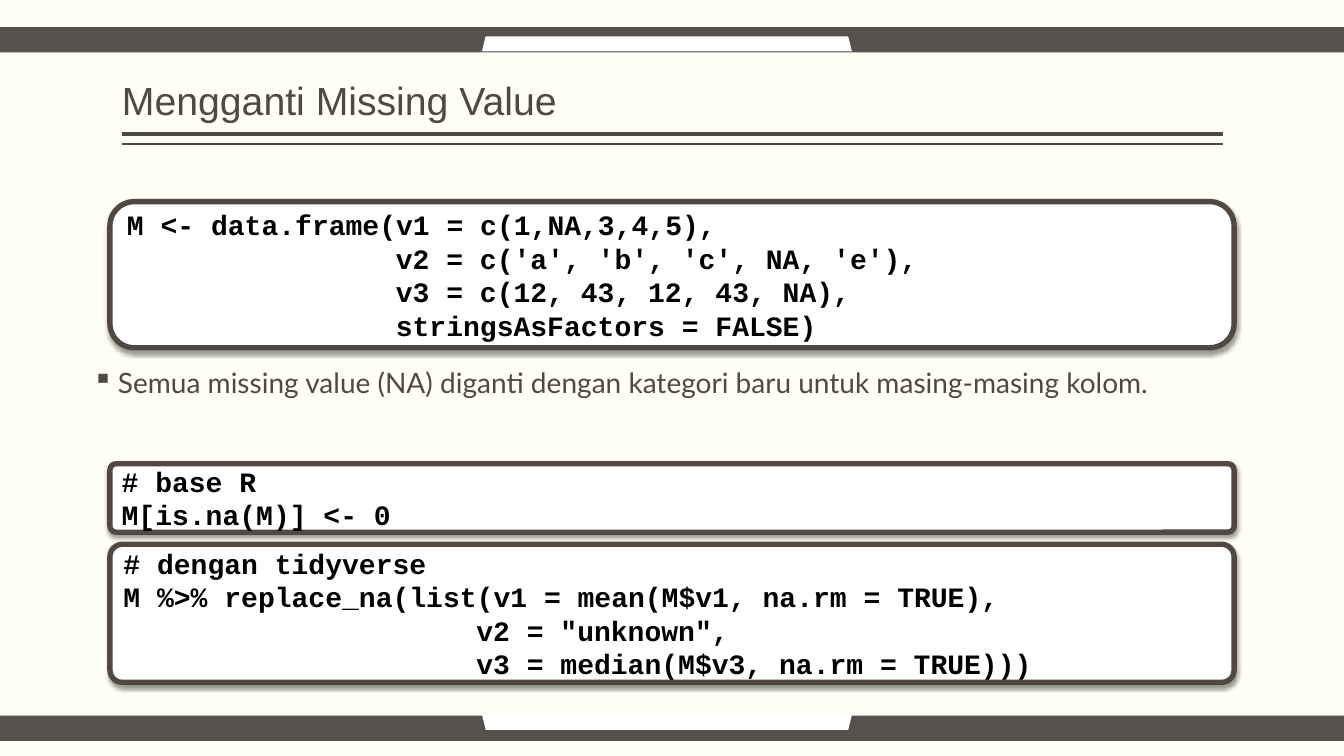
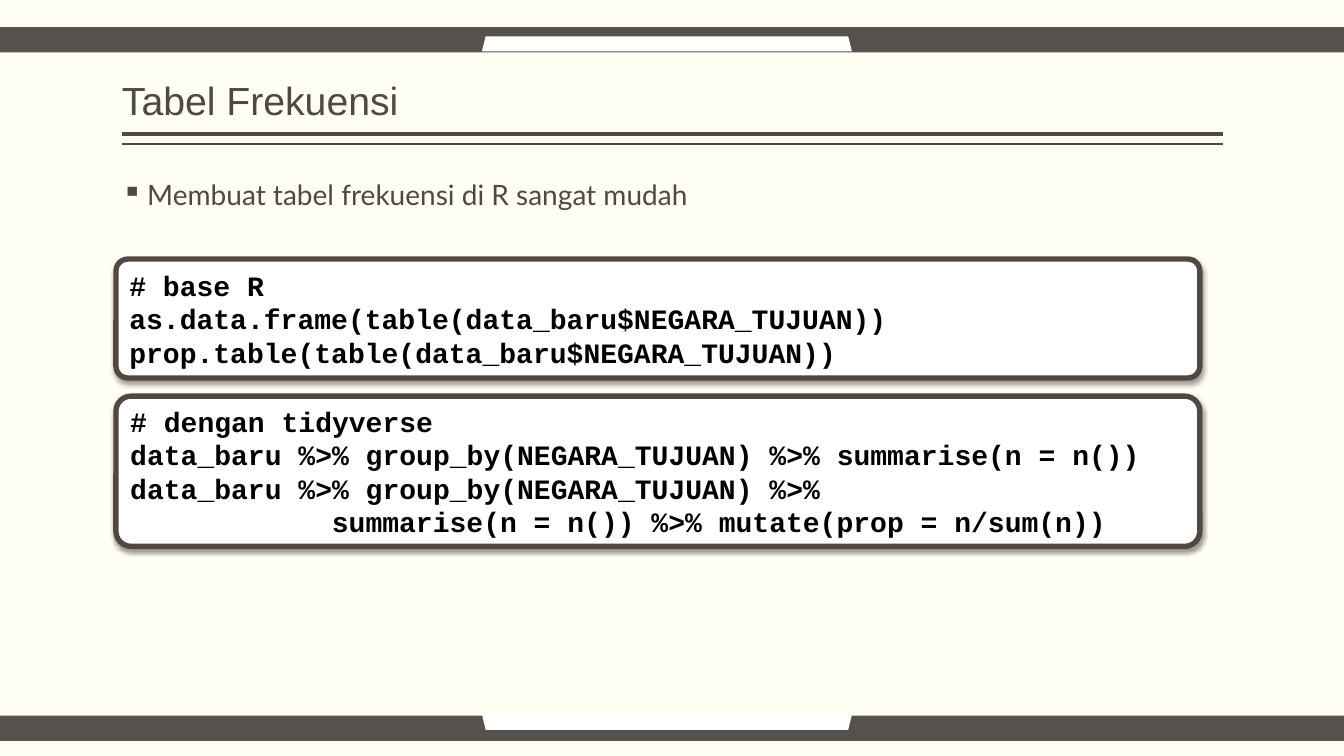
from lxml import etree
from pptx import Presentation
from pptx.dml.color import RGBColor
from pptx.enum.shapes import MSO_CONNECTOR, MSO_SHAPE
from pptx.enum.text import MSO_ANCHOR, MSO_AUTO_SIZE, PP_ALIGN
from pptx.oxml import parse_xml
from pptx.oxml.ns import nsdecls, qn
from pptx.util import Inches, Pt

STRAIGHT = MSO_CONNECTOR.STRAIGHT
RECTANGLE, TRAPEZOID = MSO_SHAPE.RECTANGLE, MSO_SHAPE.TRAPEZOID
ROUNDED = MSO_SHAPE.ROUNDED_RECTANGLE
MIDDLE, BOTTOM = MSO_ANCHOR.MIDDLE, MSO_ANCHOR.BOTTOM
LEFT, NO_FIT = PP_ALIGN.LEFT, MSO_AUTO_SIZE.NONE

COLORS = {"background": "FFFFF3", "text": "514843", "band": "56514D",
          "panel": "FFFFFF", "code": "000000"}
FONTS = {"title": "Arial", "body": "Lato", "code": "Courier New"}
SLIDE_WIDTH = 13.33
MARGIN = 1.21
CONTENT_WIDTH = 10.92
TAB_WIDTH = 3.67
CODE_COLUMN = 1 / 6  # width of one 20 pt Courier New character
SHADOW = (f'<a:outerShdw {nsdecls("a")} blurRad="44450" dist="25400" dir="5400000">'
          '<a:srgbClr val="000000"><a:alpha val="38000"/></a:srgbClr></a:outerShdw>')


def color(name):
    return RGBColor.from_string(COLORS[name])


class Deck:
    """Holds the shared style and the slide being built."""

    def __init__(self):
        self.presentation = Presentation()
        self.presentation.slide_width = Inches(SLIDE_WIDTH)
        self.presentation.slide_height = Inches(7.5)
        self.slide = None

    def add_slide(self, title):
        self.slide = self.presentation.slides.add_slide(self.presentation.slide_layouts[5])
        fill = self.slide.background.fill
        fill.solid()
        fill.fore_color.rgb = color("background")
        self.rule(1.33, 3)
        self.rule(1.43, 1)
        self.band(0.27, 0.36)
        self.band(7.1, 7.09, rotation=180)
        self.title(title)

    def style(self, paragraph, font, size, color_name, bold=False):
        paragraph.alignment = LEFT
        paragraph.font.name = FONTS[font]
        paragraph.font.size = Pt(size)
        paragraph.font.bold = bold
        paragraph.font.color.rgb = color(color_name)

    def frame(self, shape):
        """Text frame without side insets."""
        frame = shape.text_frame
        frame.word_wrap = True
        frame.auto_size = NO_FIT
        frame.margin_left = frame.margin_right = 0
        return frame

    def title(self, text):
        shape = self.slide.shapes.title
        shape.left, shape.top = Inches(MARGIN), Inches(0.08)
        shape.width, shape.height = Inches(CONTENT_WIDTH), Inches(1.2)
        frame = self.frame(shape)
        frame.vertical_anchor = BOTTOM
        frame.text = text
        paragraph = frame.paragraphs[0]
        paragraph.line_spacing = 0.9
        self.style(paragraph, "title", 28, "text")

    def rule(self, top, weight):
        line = self.slide.shapes.add_connector(
            STRAIGHT, Inches(MARGIN), Inches(top),
            Inches(MARGIN + CONTENT_WIDTH), Inches(top))
        line.line.color.rgb = color("text")
        line.line.width = Pt(weight)
        etree.SubElement(line._element.spPr, qn("a:effectLst"))

    def block(self, kind, left, top, width, height, fill):
        shape = self.slide.shapes.add_shape(
            kind, Inches(left), Inches(top), Inches(width), Inches(height))
        shape.shadow.inherit = False
        shape.fill.solid()
        shape.fill.fore_color.rgb = color(fill)
        shape.line.fill.background()
        return shape

    def band(self, top, tab_top, rotation=0):
        """Full-width band with a white tab in its middle."""
        self.block(RECTANGLE, 0, top, SLIDE_WIDTH, 0.25, "band")
        tab_left = (SLIDE_WIDTH - TAB_WIDTH) / 2 - 0.05
        tab = self.block(TRAPEZOID, tab_left, tab_top, TAB_WIDTH, 0.15, "panel")
        tab.rotation = rotation

    def bullet(self, left, top, width, text):
        box = self.slide.shapes.add_textbox(
            Inches(left), Inches(top), Inches(width), Inches(0.5))
        paragraph = self.frame(box).paragraphs[0]
        paragraph.text = text
        paragraph.line_spacing = 0.9
        self.style(paragraph, "body", 20, "text")
        properties = paragraph._p.get_or_add_pPr()
        properties.set("marL", str(Inches(0.25)))
        properties.set("indent", str(-Inches(0.25)))
        etree.SubElement(properties, qn("a:buChar")).set("char", "▪")

    def code(self, left, top, width, height, corner, lines):
        """Code panel; each line is (columns of indent, text)."""
        panel = self.block(ROUNDED, left, top, width, height, "panel")
        panel.adjustments[0] = corner
        panel.line.color.rgb = color("text")
        panel.line.width = Pt(3.82)
        panel._element.spPr.find(qn("a:effectLst")).append(parse_xml(SHADOW))
        frame = panel.text_frame
        frame.vertical_anchor = MIDDLE
        frame.text = "\n".join(text for _, text in lines)
        for paragraph, (columns, _) in zip(frame.paragraphs, lines):
            self.style(paragraph, "code", 20, "code", bold=True)
            indent = Inches(columns * CODE_COLUMN)
            paragraph._p.get_or_add_pPr().set("marL", str(indent))


def main():
    deck = Deck()

    # Replacing missing values
    deck.add_slide("Mengganti Missing Value")
    left, width = 1.09, 11.15
    deck.code(left, 2, width, 1.45, 0.167, [
        (0, "M <- data.frame(v1 = c(1,NA,3,4,5),"),
        (16, "v2 = c('a', 'b', 'c', NA, 'e'),"),
        (16, "v3 = c(12, 43, 12, 43, NA),"),
        (16, "stringsAsFactors = FALSE)")])
    deck.bullet(0.92, 3.61, 11.5, "Semua missing value (NA) diganti dengan "
                "kategori baru untuk masing-masing kolom.")
    deck.code(left, 4.6, width, 0.68, 0.09, [
        (0, "# base R"),
        (0, "M[is.na(M)] <- 0")])
    deck.code(left, 5.4, width, 1.37, 0.09, [
        (0, "# dengan tidyverse"),
        (0, "M %>% replace_na(list(v1 = mean(M$v1, na.rm = TRUE),"),
        (21, 'v2 = "unknown",'),
        (21, "v3 = median(M$v3, na.rm = TRUE)))")])

    # Frequency tables
    deck.add_slide("Tabel Frekuensi")
    left, width = 1.15, 10.75
    deck.bullet(MARGIN, 1.75, CONTENT_WIDTH, "Membuat tabel frekuensi di R sangat mudah")
    deck.code(left, 2.57, width, 1.18, 0.1, [
        (0, "# base R"),
        (0, "as.data.frame(table(data_baru$NEGARA_TUJUAN))"),
        (0, "prop.table(table(data_baru$NEGARA_TUJUAN))")])
    deck.code(left, 3.93, width, 1.49, 0.1, [
        (0, "# dengan tidyverse"),
        (0, "data_baru %>% group_by(NEGARA_TUJUAN) %>% summarise(n = n())"),
        (0, "data_baru %>% group_by(NEGARA_TUJUAN) %>%"),
        (12, "summarise(n = n()) %>% mutate(prop = n/sum(n))")])

    deck.presentation.save("out.pptx")


if __name__ == "__main__":
    main()
